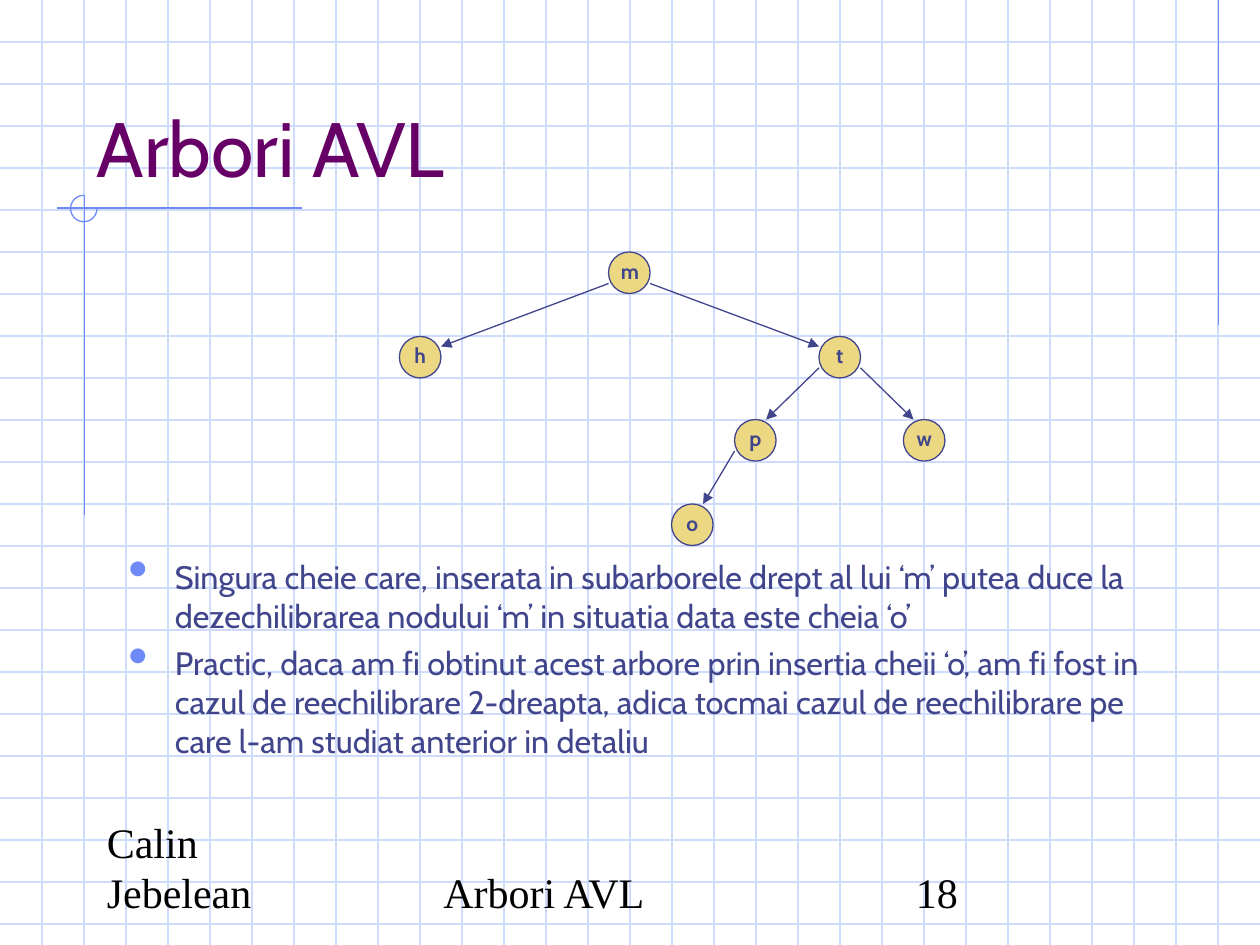
from lxml import etree
from pptx import Presentation
from pptx.dml.color import RGBColor
from pptx.enum import shapes, text
from pptx.oxml import ns
from pptx.util import Inches, Pt

GRID = RGBColor(0xCF, 0xDB, 0xFD)
BLUE = RGBColor(0x6F, 0x89, 0xF7)
NAVY = RGBColor(0x40, 0x45, 0x8C)
GOLD = RGBColor(0xEC, 0xD8, 0x82)
PLUM = RGBColor(0x66, 0x00, 0x66)
BLACK = RGBColor(0, 0, 0)

WIDE, HIGH = 10, 7.5
STEP = 1 / 3
SIZE = 0.33

# Top left corner of each node
NODES = {
    "h": (3.17, 2.67), "m": (4.83, 2), "t": (6.5, 2.67),
    "p": (5.83, 3.33), "w": (7.17, 3.33), "o": (5.33, 4),
}
LEFT, RIGHT = (0, 0.25), (SIZE, 0.25)
# Parent, child, offset of the start in the parent, of the end in the child
EDGES = [
    ("m", "h", LEFT, (SIZE, 0.08)),
    ("m", "t", RIGHT, (0, 0.08)),
    ("t", "p", LEFT, (0.25, 0)),
    ("t", "w", RIGHT, (0.08, 0)),
    ("p", "o", LEFT, (0.25, 0)),
]
POINTS = [
    "Singura cheie care, inserata in subarborele drept al lui ‘m’ putea duce la "
    "dezechilibrarea nodului ‘m’ in situatia data este cheia ‘o’",
    "Practic, daca am fi obtinut acest arbore prin insertia cheii ‘o’, am fi fost in "
    "cazul de reechilibrare 2-dreapta, adica tocmai cazul de reechilibrare pe "
    "care l-am studiat anterior in detaliu",
]
FOOTER = [
    ("Arbori AVL", 3.42, 3.16),
    ("18", 7.17, 2.08),
    ("Calin Jebelean", 0.75, 2.08),
]


def add(parent, tag, **attrs):
    return etree.SubElement(parent, ns.qn(tag), attrs)


def bullet(para):
    """Give the paragraph a hanging round bullet."""
    props = para._p.get_or_add_pPr()
    props.set("marL", str(Inches(0.37)))
    props.set("indent", str(-Inches(0.37)))
    color = add(props, "a:buClr")
    add(color, "a:srgbClr", val=str(BLUE))
    add(props, "a:buSzPct", val="176000")
    add(props, "a:buChar", char="•")


def write(frame, lines, size=18, color=NAVY, font="Cabin", bold=False,
          align=text.PP_ALIGN.LEFT, anchor=text.MSO_ANCHOR.TOP,
          before=0, dots=False):
    """Fill a text frame with one paragraph per line."""
    frame.word_wrap = True
    frame.vertical_anchor = anchor
    for i, line in enumerate(lines):
        para = frame.add_paragraph() if i else frame.paragraphs[0]
        para.alignment = align
        para.space_before = Pt(before)
        if dots:
            bullet(para)
        run = para.add_run()
        run.text = line
        run.font.size = Pt(size)
        run.font.name = font
        run.font.bold = bold
        run.font.color.rgb = color


class Board:
    def __init__(self, slide, weight=0.75):
        self.items = slide.shapes
        self.weight = Pt(weight)

    def line(self, start, end, color, arrow=False):
        ends = [Inches(v) for v in (*start, *end)]
        line = self.items.add_connector(shapes.MSO_CONNECTOR.STRAIGHT, *ends)
        line.line.color.rgb = color
        line.line.width = self.weight
        if arrow:
            add(line.line._get_or_add_ln(), "a:tailEnd", type="triangle")
        add(line._element.spPr, "a:effectLst")

    def shape(self, kind, x, y, size, color, fill=None):
        item = self.items.add_shape(
            kind, Inches(x), Inches(y), Inches(size), Inches(size))
        item.shadow.inherit = False
        item.line.color.rgb = color
        item.line.width = self.weight
        if fill is None:
            item.fill.background()
        else:
            item.fill.solid()
            item.fill.fore_color.rgb = fill
        return item

    def label(self, lines, x, y, w, h, **style):
        box = self.items.add_textbox(Inches(x), Inches(y), Inches(w), Inches(h))
        write(box.text_frame, lines, **style)

    def node(self, key, x, y):
        self.shape(shapes.MSO_SHAPE.OVAL, x, y, SIZE, NAVY, GOLD)
        self.label([key], x, y, SIZE, 0.3, size=12, bold=True,
                   align=text.PP_ALIGN.CENTER)

    def edge(self, parent, child, out, into):
        (px, py), (cx, cy) = NODES[parent], NODES[child]
        self.line((px + out[0], py + out[1]), (cx + into[0], cy + into[1]),
                  NAVY, arrow=True)

    def paper(self):
        """Draw the squared paper and the corner marks."""
        for i in range(1, 23):
            self.line((0, i * STEP), (WIDE, i * STEP), GRID)
        for i in range(1, 30):
            self.line((i * STEP, 0), (i * STEP, HIGH), GRID)
        self.line((9.67, 0), (9.67, 2.58), BLUE)
        self.line((2.4, 1.65), (0.45, 1.65), BLUE)
        self.line((0.67, 1.55), (0.67, 4.09), BLUE)
        arc = self.shape(shapes.MSO_SHAPE.ARC, 0.56, 1.55, 0.21, BLUE)
        # Three quarters of a turn, in units of 100000/60000 degrees
        arc.adjustments[0] = 0
        arc.adjustments[1] = 270 * 0.6


def main():
    deck = Presentation()
    deck.slide_width, deck.slide_height = Inches(WIDE), Inches(HIGH)
    board = Board(deck.slides.add_slide(deck.slide_layouts[6]))
    base = text.MSO_ANCHOR.BOTTOM

    board.paper()
    board.label(["Arbori AVL"], 0.67, 0.33, 8.5, 1.25,
                size=44, color=PLUM, anchor=base)
    board.label(POINTS, 0.92, 4.37, 8.5, 2.21, size=18.5, before=5, dots=True)
    for key, spot in NODES.items():
        board.node(key, *spot)
    for edge in EDGES:
        board.edge(*edge)
    for words, x, w in FOOTER:
        board.label([words], x, 6.83, w, 0.5, size=24, color=BLACK,
                    font="Times New Roman", anchor=base)
    deck.save("out.pptx")


if __name__ == "__main__":
    main()
